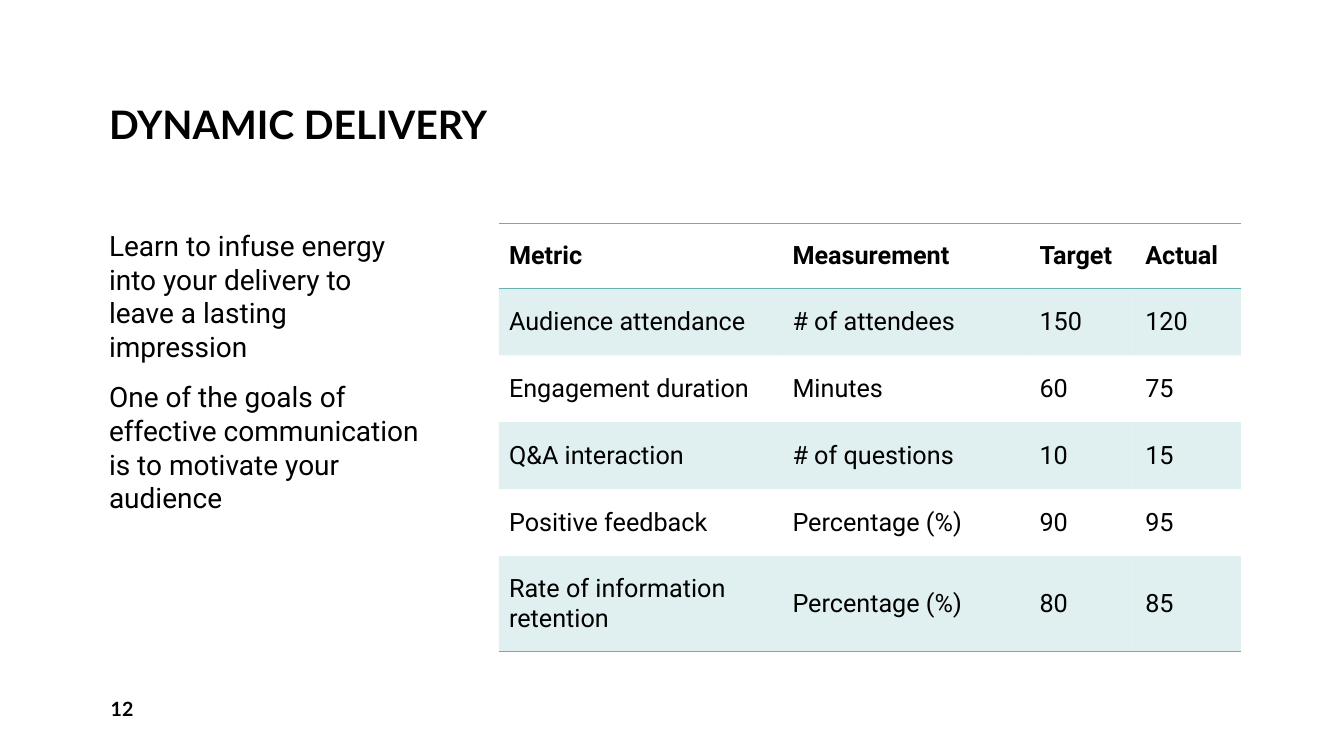
import pptx
import pptx.dml.color
import pptx.enum.text
import pptx.oxml
import pptx.oxml.ns
import pptx.util

Pt = pptx.util.Pt
Anchor = pptx.enum.text.MSO_ANCHOR
BLACK = pptx.dml.color.RGBColor(0x00, 0x00, 0x00)
TEAL = pptx.dml.color.RGBColor(0x66, 0xB2, 0xB0)
PLAIN_STYLE = "{2D5ABB26-0587-4C30-8999-92F81FD0307C}"

METRICS = [
    ("Metric", "Measurement", "Target", "Actual"),
    ("Audience attendance", "# of attendees", "150", "120"),
    ("Engagement duration", "Minutes", "60", "75"),
    ("Q&A interaction", "# of questions", "10", "15"),
    ("Positive feedback", "Percentage (%)", "90", "95"),
    ("Rate of information retention", "Percentage (%)", "80", "85"),
]
COLUMN_WIDTHS = [202.5, 176.5, 75.5, 75.5]
ROW_HEIGHTS = [46.5] + [47.8] * 4 + [68.4]


def write(frame, text, font="Roboto", size=18, bold=False, after=0, spacing=None):
    """Fill a text frame, one paragraph for each line of text."""
    frame.word_wrap = True
    for index, line in enumerate(text.split("\n")):
        paragraph = frame.add_paragraph() if index else frame.paragraphs[0]
        paragraph.space_after = Pt(after)
        if spacing:
            paragraph.line_spacing = spacing
        run = paragraph.add_run()
        run.text = line
        run.font.name = font
        run.font.size = Pt(size)
        run.font.bold = bold
        run.font.color.rgb = BLACK


class MetricsSlide:
    """Holds the style and the current slide, and adds its elements."""

    def __init__(self, slide, accent=TEAL, tint=20, rule=1):
        self.slide = slide
        self.accent = accent
        self.tint = tint
        self.rule = rule

    def text(self, box, text, anchor=Anchor.TOP, **style):
        frame = self.slide.shapes.add_textbox(*map(Pt, box)).text_frame
        frame.vertical_anchor = anchor
        write(frame, text, **style)

    def shade(self, cell):
        cell.fill.solid()
        cell.fill.fore_color.rgb = self.accent
        for color in cell.fill._xPr.iter(pptx.oxml.ns.qn("a:srgbClr")):
            alpha = color.makeelement(pptx.oxml.ns.qn("a:alpha"), {"val": str(self.tint * 1000)})
            color.append(alpha)

    def border(self, cell, sides):
        properties = cell._tc.get_or_add_tcPr()
        for position, side in enumerate(sides):
            line = pptx.oxml.parse_xml(
                f'<a:ln{side} {pptx.oxml.ns.nsdecls("a")} w="{Pt(self.rule)}">'
                f'<a:solidFill><a:srgbClr val="{self.accent}"/></a:solidFill></a:ln{side}>'
            )
            properties.insert(position, line)

    def table(self, left, top, rows, widths, heights):
        frame = self.slide.shapes.add_table(
            len(rows), len(widths), Pt(left), Pt(top), Pt(sum(widths)), Pt(sum(heights))
        )
        table = frame.table
        table.horz_banding = False
        for style_id in frame._element.iter(pptx.oxml.ns.qn("a:tableStyleId")):
            style_id.text = PLAIN_STYLE
        for column, width in zip(table.columns, widths):
            column.width = Pt(width)
        borders = {0: "TB", len(rows) - 1: "B"}
        for index, (values, height) in enumerate(zip(rows, heights)):
            table.rows[index].height = Pt(height)
            for cell, value in zip(table.rows[index].cells, values):
                cell.vertical_anchor = Anchor.MIDDLE
                write(cell.text_frame, value, bold=index == 0)
                if index % 2:
                    self.shade(cell)
                else:
                    cell.fill.background()
                self.border(cell, borders.get(index, ""))


def main():
    """Build the slide and save it."""
    deck = pptx.Presentation()
    deck.slide_width, deck.slide_height = Pt(960), Pt(540)
    page = MetricsSlide(deck.slides.add_slide(deck.slide_layouts[6]))
    page.text((70.8, 10.8, 486, 98.6), "DYNAMIC DELIVERY", Anchor.BOTTOM,
              font="Lato", size=28, bold=True, spacing=0.9)
    page.text((70.8, 159.8, 237.6, 307.4),
              "Learn to infuse energy into your delivery to leave a lasting impression\n"
              "One of the goals of effective communication is to motivate your audience",
              size=20, after=12)
    page.table(356.4, 159.5, METRICS, COLUMN_WIDTHS, ROW_HEIGHTS)
    page.text((72, 491.8, 93.6, 28.8), "12", Anchor.MIDDLE, font="Lato", size=14, bold=True)
    deck.save("out.pptx")


if __name__ == "__main__":
    main()
